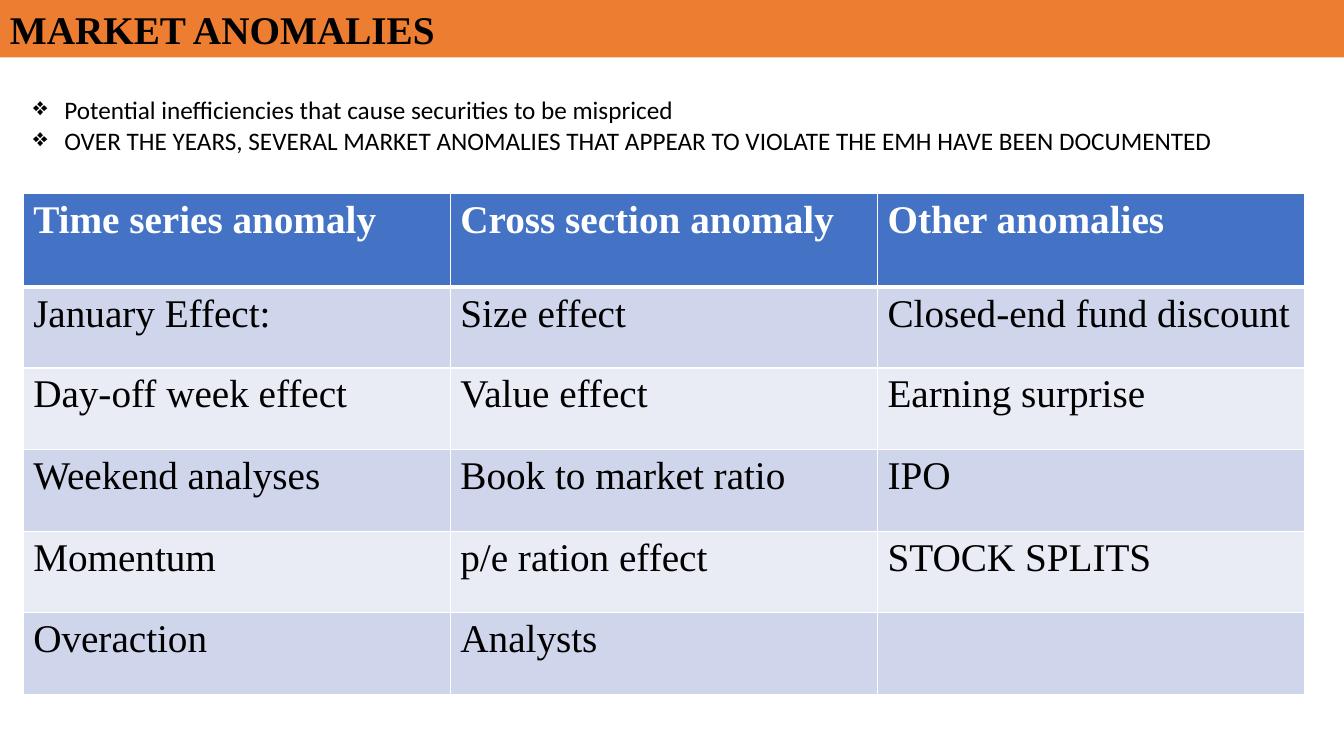
import pptx
import pptx.util
import pptx.dml.color
import pptx.enum.shapes
import pptx.enum.text
import pptx.oxml.ns
from lxml import etree

PX = 9144  # 100 px to the inch
SERIF = {"name": "Times New Roman", "size": pptx.util.Pt(28)}
SANS = {"name": "Calibri", "size": pptx.util.Pt(18)}
BULLETS = [
    "Potential inefficiencies that cause securities to be mispriced",
    "OVER THE YEARS, SEVERAL MARKET ANOMALIES THAT APPEAR TO VIOLATE THE EMH HAVE BEEN DOCUMENTED",
]
ANOMALIES = [
    ["Time series anomaly", "Cross section anomaly", "Other anomalies"],
    ["January Effect:", "Size effect", "Closed-end fund discount"],
    ["Day-off week effect", "Value effect", "Earning surprise"],
    ["Weekend analyses", "Book to market ratio", "IPO"],
    ["Momentum", "p/e ration effect", "STOCK SPLITS"],
    ["Overaction", "Analysts", ""],
]
ROW_HEIGHTS = [93, 80, 81, 81, 81, 81]


def px(*lengths):
    return [pptx.util.Emu(length * PX) for length in lengths]


def color(hex_string):
    return pptx.dml.color.RGBColor.from_string(hex_string)


def add_element(parent, tag, **attributes):
    return etree.SubElement(parent, pptx.oxml.ns.qn(tag), attributes)


def write(paragraph, text, font_values, font_color):
    run = paragraph.add_run()
    run.text = text
    for name, value in font_values.items():
        setattr(run.font, name, value)
    run.font.color.rgb = color(font_color)


def add_title_bar(slide, box):
    bar = slide.shapes.add_shape(pptx.enum.shapes.MSO_SHAPE.RECTANGLE, *px(*box))
    bar.shadow.inherit = False
    bar.fill.solid()
    bar.fill.fore_color.rgb = color("ED7D31")
    bar.line.fill.background()
    bar.text_frame.vertical_anchor = pptx.enum.text.MSO_ANCHOR.TOP
    paragraph = bar.text_frame.paragraphs[0]
    paragraph.alignment = pptx.enum.text.PP_ALIGN.LEFT
    write(paragraph, "MARKET ANOMALIES", {**SERIF, "bold": True}, "000000")


def add_bullets(slide, box):
    frame = slide.shapes.add_textbox(*px(*box)).text_frame
    frame.word_wrap = True
    indent = px(31)[0]
    for index, text in enumerate(BULLETS):
        paragraph = frame.add_paragraph() if index else frame.paragraphs[0]
        properties = paragraph._p.get_or_add_pPr()
        properties.set("marL", str(indent))
        properties.set("indent", str(-indent))
        add_element(properties, "a:buChar", char="❖")
        write(paragraph, text, SANS, "000000")


def set_borders(cell, widths):
    """Draw white cell edges, widths in points by side."""
    properties = cell._tc.get_or_add_tcPr()
    for position, (side, width) in enumerate(widths.items()):
        line = add_element(properties, f"a:ln{side}", w=str(pptx.util.Pt(width)))
        add_element(add_element(line, "a:solidFill"), "a:srgbClr", val="FFFFFF")
        properties.insert(position, line)


def add_anomaly_table(slide, box):
    table = slide.shapes.add_table(len(ANOMALIES), len(ANOMALIES[0]), *px(*box)).table
    for column in table.columns:
        column.width = px(box[2])[0] // len(ANOMALIES[0])
    for row_index, texts in enumerate(ANOMALIES):
        table.rows[row_index].height = px(ROW_HEIGHTS[row_index])[0]
        header = row_index == 0
        band = "4472C4" if header else ("E9EBF5", "CFD5EA")[row_index % 2]
        borders = {"L": 1, "R": 1, "T": 3 if row_index == 1 else 1, "B": 3 if header else 1}
        for column_index, text in enumerate(texts):
            cell = table.cell(row_index, column_index)
            cell.fill.solid()
            cell.fill.fore_color.rgb = color(band)
            set_borders(cell, borders)
            if text:
                write(cell.text_frame.paragraphs[0], text, {**SERIF, "bold": header},
                      "FFFFFF" if header else "000000")


def main():
    presentation = pptx.Presentation()
    presentation.slide_width, presentation.slide_height = px(1333, 750)
    slide = presentation.slides.add_slide(presentation.slide_layouts[6])
    add_title_bar(slide, (0, 0, 1333, 57))
    add_bullets(slide, (23, 89, 1271, 71))
    add_anomaly_table(slide, (23, 192, 1271, sum(ROW_HEIGHTS)))
    presentation.save("out.pptx")


if __name__ == "__main__":
    main()
